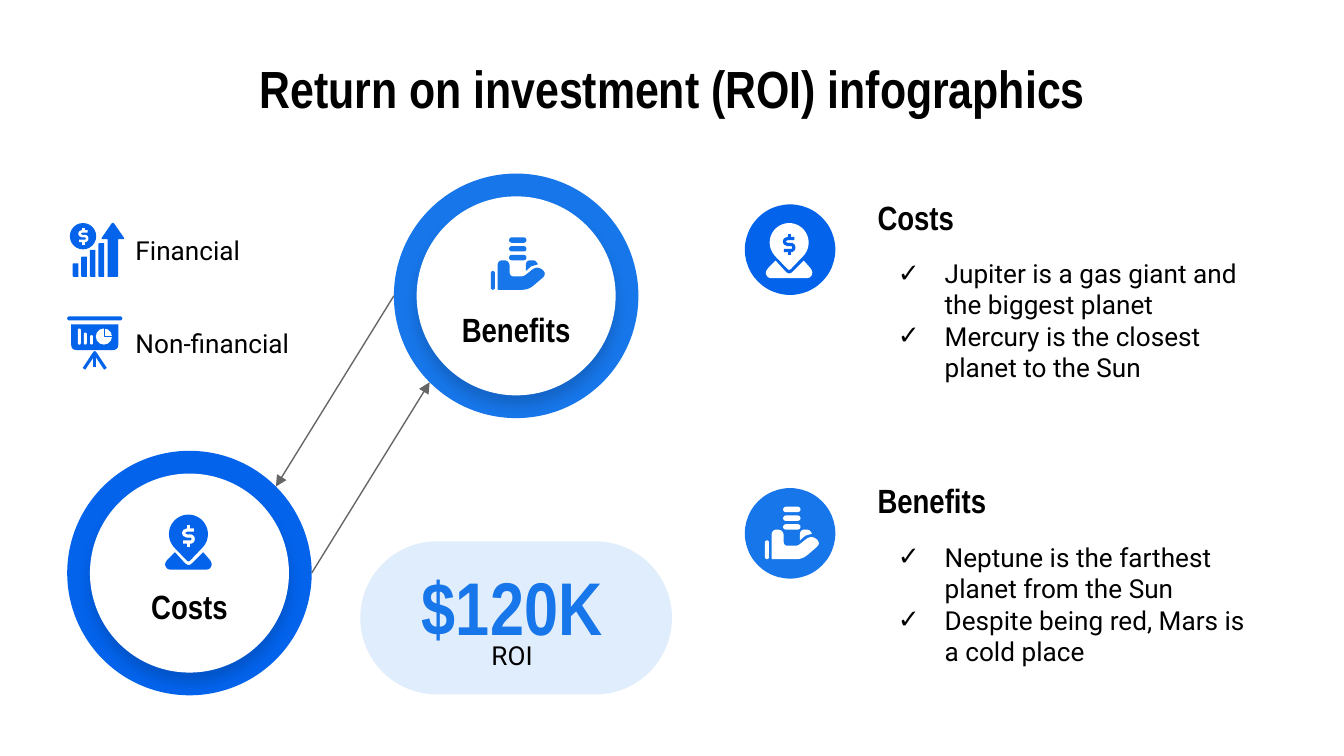
import math

import pptx
import pptx.dml.color
import pptx.enum.shapes
import pptx.enum.text
import pptx.oxml
import pptx.oxml.ns
import pptx.util
from lxml import etree

Pt = pptx.util.Pt
RGBColor = pptx.dml.color.RGBColor
SHAPE = pptx.enum.shapes.MSO_SHAPE
ALIGN = pptx.enum.text.PP_ALIGN
qn = pptx.oxml.ns.qn

BLACK = RGBColor(0x00, 0x00, 0x00)
WHITE = RGBColor(0xFF, 0xFF, 0xFF)
GRAY = RGBColor(0x66, 0x66, 0x66)
COST_BLUE = RGBColor(0x03, 0x63, 0xEB)
BENEFIT_BLUE = RGBColor(0x17, 0x76, 0xE9)
HEADING, BODY = "Arial Narrow", "Roboto"
UNIT = 0.72  # points in one step of the icon grid
RING = 131  # outer diameter of a ring


def add_child(parent, tag, **attributes):
    return etree.SubElement(parent, qn(tag), **attributes)


def add_text(shapes, text, left, top, width, height, size=14, font=BODY, color=BLACK,
             bold=False, align=ALIGN.LEFT, bullet=None):
    frame = shapes.add_textbox(Pt(left), Pt(top), Pt(width), Pt(height)).text_frame
    frame.word_wrap = True
    frame.vertical_anchor = pptx.enum.text.MSO_ANCHOR.MIDDLE
    frame.margin_left = frame.margin_right = frame.margin_top = frame.margin_bottom = Pt(7.2)
    for index, line in enumerate(text.split("\n")):
        paragraph = frame.add_paragraph() if index else frame.paragraphs[0]
        paragraph.alignment = align
        if bullet:
            properties = paragraph._p.get_or_add_pPr()
            properties.set("marL", str(Pt(36)))
            properties.set("indent", str(-Pt(25)))
            add_child(add_child(properties, "a:buClr"), "a:srgbClr", val=str(color))
            add_child(properties, "a:buFont", typeface=font)
            add_child(properties, "a:buChar", char=bullet)
        run = paragraph.add_run()
        run.text = line
        run.font.size, run.font.name, run.font.bold = Pt(size), font, bold
        run.font.color.rgb = color


def paint(shape, color):
    shape.shadow.inherit = False
    shape.fill.solid()
    shape.fill.fore_color.rgb = color
    shape.line.fill.background()
    return shape


def add_preset(shapes, kind, left, top, width, height, color):
    return paint(shapes.add_shape(kind, Pt(left), Pt(top), Pt(width), Pt(height)), color)


def round_corners(vertices):
    """Turn (x, y, radius) vertices into points, with a curve at each corner."""
    points = []
    for index, (x, y, *radius) in enumerate(vertices):
        if not radius:
            points.append((x, y))
            continue
        ends = []
        for near in (vertices[index - 1], vertices[(index + 1) % len(vertices)]):
            length = math.hypot(near[0] - x, near[1] - y)
            share = min(radius[0] / length, 0.5)
            ends.append((x + (near[0] - x) * share, y + (near[1] - y) * share))
        (x0, y0), (x1, y1) = ends
        for step in range(7):
            t = step / 6
            a, b, c = (1 - t) ** 2, 2 * t * (1 - t), t * t
            points.append((a * x0 + b * x + c * x1, a * y0 + b * y + c * y1))
    return points


class Icon:
    """A group of shapes on a fine grid whose origin is (left, top)."""

    def __init__(self, shapes, left, top):
        self.shapes = shapes.add_group_shape().shapes
        self.left, self.top = left, top

    def place(self, point):
        return Pt(self.left + point[0] * UNIT), Pt(self.top + point[1] * UNIT)

    def preset(self, kind, x, y, width, height, color):
        return add_preset(self.shapes, kind, self.left + x * UNIT, self.top + y * UNIT,
                          width * UNIT, height * UNIT, color)

    def pill(self, x, y, width, height, color):
        self.preset(SHAPE.ROUNDED_RECTANGLE, x, y, width, height, color).adjustments[0] = 0.5

    def polygon(self, vertices, color):
        points = [self.place(point) for point in round_corners(vertices)]
        builder = self.shapes.build_freeform(*points[0])
        builder.add_line_segments(points[1:], close=True)
        paint(builder.convert_to_shape(), color)

    def strokes(self, lines, width, color):
        builder = self.shapes.build_freeform(*self.place(lines[0][0]))
        for line in lines:
            builder.move_to(*self.place(line[0]))
            builder.add_line_segments([self.place(point) for point in line[1:]], close=False)
        shape = paint(builder.convert_to_shape(), color)
        shape.fill.background()
        shape.line.color.rgb = color
        shape.line.width = Pt(width)

    def dollar(self, x, y, scale, color):
        curve = [(4, -4.5), (-1, -4.5), (-3, -3.6), (-3.6, -2.2), (-3, -0.9), (-1, 0),
                 (2, 0), (3.2, 0.9), (3.6, 2.2), (3.2, 3.6), (2, 4.5), (-4, 4.5)]
        lines = [curve, [(0, -8), (0, -4.5)], [(0, 4.5), (0, 8)]]
        self.strokes([[(x + dx * scale, y + dy * scale) for dx, dy in line] for line in lines],
                     1.7 * scale, color)


def pin_icon(shapes, left, top, color, hole):
    icon = Icon(shapes, left, top)
    angles = [math.radians(135 + 270 * step / 36) for step in range(37)]
    head = [(18 + 14.5 * math.cos(a), 14.5 + 14.5 * math.sin(a)) for a in angles]
    icon.polygon(head + [(18, 35.5, 2)], color)
    icon.polygon([(8, 28), (0, 36, 4), (2, 41, 3), (34, 41, 3), (36, 36, 4), (29, 28),
                  (18, 39, 4)], color)
    icon.dollar(18, 16, 1, hole)


def hand_icon(shapes, left, top, color, hole):
    icon = Icon(shapes, left, top)
    icon.polygon([(26, 25), (26, 17, 4), (33, 17, 2), (35, 20), (30, 21.5)], color)
    icon.polygon([(5, 17, 4), (14, 17, 5), (14, 29, 3), (24.5, 29, 2), (34.5, 21, 5),
                  (42, 27, 5), (28, 39, 5), (5, 39, 1)], color)
    icon.pill(0, 25, 3, 14, color)
    for coin in range(3):
        icon.pill(13.5, 6.5 * coin, 13, 4, color)


def growth_icon(shapes, left, top, color, hole):
    icon = Icon(shapes, left, top)
    icon.polygon([(34, -1, 2), (43, 12, 1.5), (38, 12), (38, 40, 1), (30, 40), (30, 12),
                  (25, 12, 1.5)], color)
    for bar in range(4):
        x, y = 4 + 6.4 * bar, 30 - 5 * bar
        icon.polygon([(x, y, 1), (x + 4.2, y), (x + 4.2, 40), (x, 40, 1)], color)
    icon.preset(SHAPE.OVAL, 2, 0, 19.6, 19.6, color)
    icon.dollar(12, 9.7, 0.8, hole)


def board_icon(shapes, left, top, color, hole):
    icon = Icon(shapes, left, top)
    icon.pill(0, 0, 41, 3, color)
    icon.polygon([(3, 6), (38, 6), (38, 25, 4), (3, 25, 4)], color)
    for x, y in ((8, 9), (12.4, 12), (17, 14)):
        icon.pill(x, y, 2.2, 21 - y, hole)
    icon.preset(SHAPE.OVAL, 21.3, 9, 12, 12, hole)
    icon.strokes([[(27.8, 9), (27.8, 15), (33.3, 15)]], 1, color)
    icon.strokes([[(12.5, 39), (20.5, 27), (28.5, 39)], [(20.5, 27), (20.5, 37.5)]], 1.7, color)


def add_ring(shapes, left, top, label, color, draw_icon):
    inset = 12.2
    inner = RING - 2 * inset
    add_preset(shapes, SHAPE.OVAL, left, top, RING, RING, color)
    disc = add_preset(shapes, SHAPE.OVAL, left + inset, top + inset, inner, inner, WHITE)
    effects = disc._element.spPr.find(qn("a:effectLst"))
    shadow = add_child(effects, "a:outerShdw", blurRad=str(Pt(6.8)), dist=str(Pt(5.2)),
                       dir="5400000", algn="bl", rotWithShape="0")
    add_child(add_child(shadow, "a:srgbClr", val="000000"), "a:alpha", val="15000")
    draw_icon(shapes, left + 52, top + 34.2, color, WHITE)
    add_text(shapes, label, left + 24.8, top + 63.4, 81.4, 39.6, size=18, font=HEADING,
             bold=True, align=ALIGN.CENTER)


def add_arrow(shapes, start, end):
    arrow = shapes.add_connector(pptx.enum.shapes.MSO_CONNECTOR.STRAIGHT,
                                 Pt(start[0]), Pt(start[1]), Pt(end[0]), Pt(end[1]))
    arrow.line.color.rgb = GRAY
    arrow.line.width = Pt(0.75)
    add_child(arrow.line._get_or_add_ln(), "a:tailEnd", type="triangle")
    add_child(arrow._element.spPr, "a:effectLst")


def add_legend_item(shapes, left, top, label, draw_icon):
    draw_icon(shapes, left, top, COST_BLUE, WHITE)
    add_text(shapes, label, left + 29.5, top, 103, 28.4)


def add_total(shapes, left, top, value, label):
    pill = add_preset(shapes, SHAPE.ROUNDED_RECTANGLE, left, top, 167, 82, BENEFIT_BLUE)
    pill.adjustments[0] = 0.5
    color = pill._element.spPr.find(qn("a:solidFill"))[0]
    add_child(color, "a:alpha", val="13000")
    add_text(shapes, value, left + 18, top + 14.4, 126.7, 39.6, size=40, font=HEADING,
             color=BENEFIT_BLUE, bold=True, align=ALIGN.CENTER)
    add_text(shapes, label, left + 18, top + 54, 126.7, 14, align=ALIGN.CENTER)


def add_detail(shapes, left, top, heading, points, color, draw_icon):
    add_preset(shapes, SHAPE.OVAL, left, top, 48.5, 48.5, color)
    draw_icon(shapes, left + 10.8, top + 10, WHITE, color)
    add_text(shapes, heading, left + 64, top - 6.5, 181.5, 26, size=18, font=HEADING, bold=True)
    add_text(shapes, points, left + 64, top + 20, 221, 84.2, bullet="✓")


def main():
    presentation = pptx.Presentation()
    presentation.slide_width, presentation.slide_height = Pt(720), Pt(405)
    shapes = presentation.slides.add_slide(presentation.slide_layouts[6]).shapes

    add_text(shapes, "Return on investment (ROI) infographics", 36, 32.4, 648, 29.5,
             size=28, font=HEADING, bold=True, align=ALIGN.CENTER)

    # Legend
    add_legend_item(shapes, 36, 119.5, "Financial", growth_icon)
    add_legend_item(shapes, 36, 169.5, "Non-financial", board_icon)

    # Rings, and the arrows between their edges
    cost_x, cost_y, benefit_x, benefit_y = 36, 241.5, 211, 93
    add_ring(shapes, cost_x, cost_y, "Costs", COST_BLUE, pin_icon)
    add_ring(shapes, benefit_x, benefit_y, "Benefits", BENEFIT_BLUE, hand_icon)
    radius = RING / 2
    near, far = radius - radius * math.sqrt(0.5), radius + radius * math.sqrt(0.5)
    add_arrow(shapes, (benefit_x, benefit_y + radius), (cost_x + far, cost_y + near))
    add_arrow(shapes, (cost_x + RING, cost_y + radius), (benefit_x + near, benefit_y + far))

    add_total(shapes, 193, 290, "$120K", "ROI")

    # Details
    add_detail(shapes, 399, 109.5, "Costs", "Jupiter is a gas giant and the biggest planet\n"
               "Mercury is the closest planet to the Sun", COST_BLUE, pin_icon)
    add_detail(shapes, 399, 261.5, "Benefits", "Neptune is the farthest planet from the Sun\n"
               "Despite being red, Mars is a cold place", BENEFIT_BLUE, hand_icon)
    presentation.save("out.pptx")


if __name__ == "__main__":
    main()
